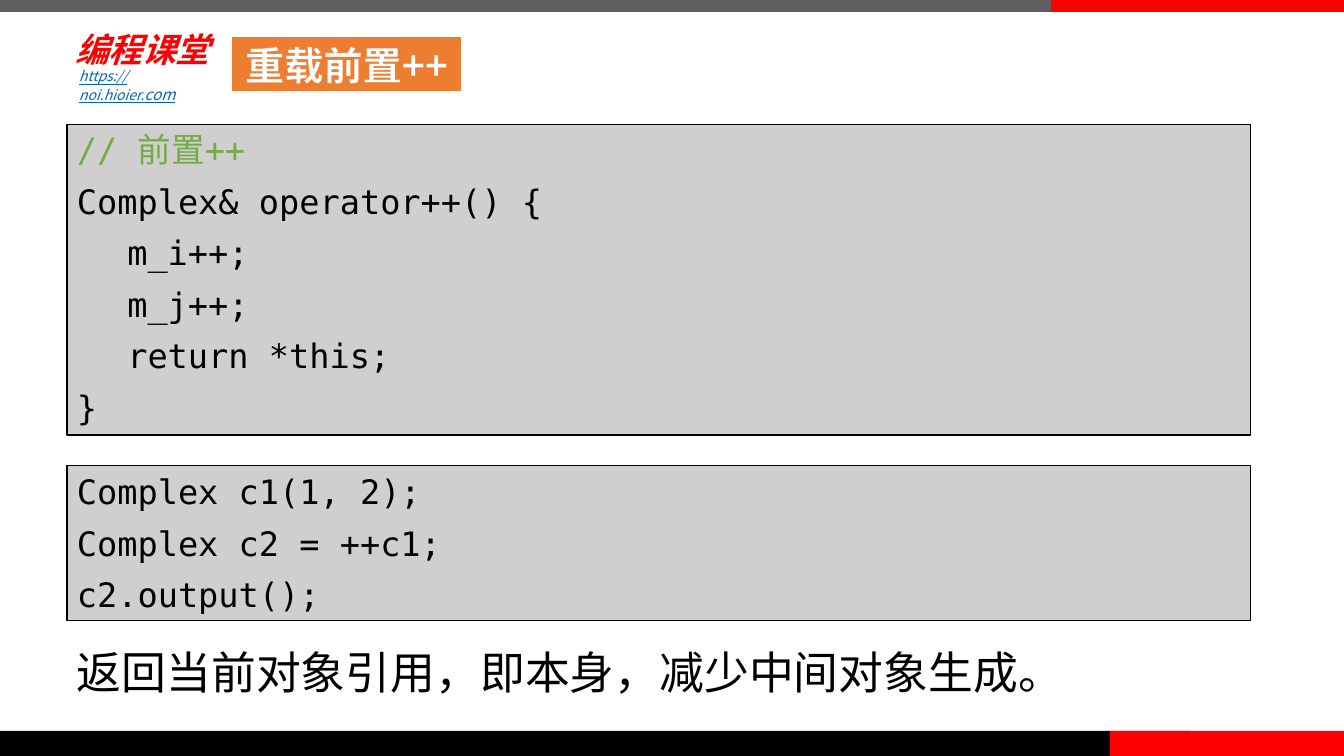
from dataclasses import dataclass, field

import lxml.etree
import pptx
import pptx.dml.color
import pptx.enum.shapes
import pptx.enum.text
import pptx.oxml.ns
import pptx.util

SCALE = 914400 / 100.8
CJK = "Noto Sans CJK SC"
MONO = "DejaVu Sans Mono"
ALIGN = pptx.enum.text.PP_ALIGN
ANCHOR = pptx.enum.text.MSO_ANCHOR


@dataclass
class Run:
    text: str
    color: str
    size: int
    font: str = CJK
    style: dict = field(default_factory=dict)
    outline: str = ""


@dataclass
class Box:
    left: int
    top: int
    width: int
    height: int
    paragraphs: list[list[Run]] = field(default_factory=list)
    fill: str = ""
    line: str = ""
    line_width: float = 0.75
    frame: dict = field(default_factory=dict)
    para: dict = field(default_factory=dict)


def px(n: int) -> int:
    return round(n * SCALE)


def rgb(color: str) -> pptx.dml.color.RGBColor:
    return pptx.dml.color.RGBColor.from_string(color)


def apply(target: object, values: dict) -> None:
    for name, value in values.items():
        setattr(target, name, value)


def add_run(p, run: Run) -> None:
    r = p.add_run()
    r.text = run.text
    apply(r.font, {"name": run.font, "size": pptx.util.Pt(run.size), **run.style})
    r.font.color.rgb = rgb(run.color)
    qn = pptx.oxml.ns.qn
    r_pr = r.font._element
    lxml.etree.SubElement(r_pr, qn("a:ea"), typeface=CJK)
    if run.outline:
        ln = r_pr.makeelement(qn("a:ln"), {"w": "6600"})
        r_pr.insert(0, ln)
        solid = lxml.etree.SubElement(ln, qn("a:solidFill"))
        lxml.etree.SubElement(solid, qn("a:srgbClr"), val=run.outline)


def draw(s, box: Box) -> None:
    place = [px(n) for n in (box.left, box.top, box.width, box.height)]
    if box.fill:
        sp = s.shapes.add_shape(pptx.enum.shapes.MSO_SHAPE.RECTANGLE, *place)
        sp.shadow.inherit = False
        sp.fill.solid()
        sp.fill.fore_color.rgb = rgb(box.fill)
        if box.line:
            sp.line.color.rgb = rgb(box.line)
            sp.line.width = pptx.util.Pt(box.line_width)
        else:
            sp.line.fill.background()
    else:
        sp = s.shapes.add_textbox(*place)
    tf = sp.text_frame
    apply(tf, {"word_wrap": True, "vertical_anchor": ANCHOR.TOP, **box.frame})
    for i, runs in enumerate(box.paragraphs):
        p = tf.add_paragraph() if i else tf.paragraphs[0]
        apply(p, {"alignment": ALIGN.LEFT, **box.para})
        for run in runs:
            add_run(p, run)


def code_box(top: int, height: int, lines: list[str]) -> Box:
    paragraphs = [
        [Run(line, "70AD47" if line.startswith("//") else "000000", 24, MONO)]
        for line in lines
    ]
    return Box(67, top, 1184, height, paragraphs, "D0CECE", "000000",
               para={"alignment": ALIGN.JUSTIFY, "space_after": pptx.util.Pt(8)})


LINK = {"italic": True, "underline": True}
INSETS = ("margin_left", "margin_top", "margin_right", "margin_bottom")

BOXES = [
    Box(0, 0, 1090, 12, fill="5E5E5E"),
    Box(0, 731, 1190, 25, fill="000000"),
    Box(1110, 731, 234, 25, fill="FF0000"),
    Box(1051, 0, 293, 12, fill="FF0000"),
    Box(69, 23, 186, 53,
        [[Run("编程课堂", "FF0000", 24, "Roboto", {"bold": True, "italic": True})]],
        frame={"vertical_anchor": ANCHOR.MIDDLE, **dict.fromkeys(INSETS, px(6))}),
    Box(69, 63, 155, 29,
        [[Run("https://noi.hioier.", "0563C1", 10, style=LINK),
          Run("com", "0563C1", 11, style=LINK)]]),
    Box(231, 36, 231, 56,
        [[Run("重载前置++", "FFFFFF", 28, style={"bold": True}, outline="ED7D31")]],
        "ED7D31", "FFFFFF", 1.5,
        frame={"word_wrap": False}, para={"alignment": ALIGN.CENTER}),
    code_box(124, 311, [
        "// 前置++",
        "Complex& operator++() {",
        "\tm_i++;",
        "\tm_j++;",
        "\treturn *this;",
        "}",
    ]),
    code_box(466, 155, [
        "Complex c1(1, 2);",
        "Complex c2 = ++c1;",
        "c2.output();",
    ]),
    Box(67, 640, 1016, 64,
        [[Run("返回当前对象引用，即本身，减少中间对象生成。", "000000", 32)]],
        frame={"word_wrap": False}),
]


def main() -> None:
    prs = pptx.Presentation()
    prs.slide_width, prs.slide_height = px(1344), px(756)
    s = prs.slides.add_slide(prs.slide_layouts[6])
    for box in BOXES:
        draw(s, box)
    prs.save("out.pptx")


if __name__ == "__main__":
    main()
